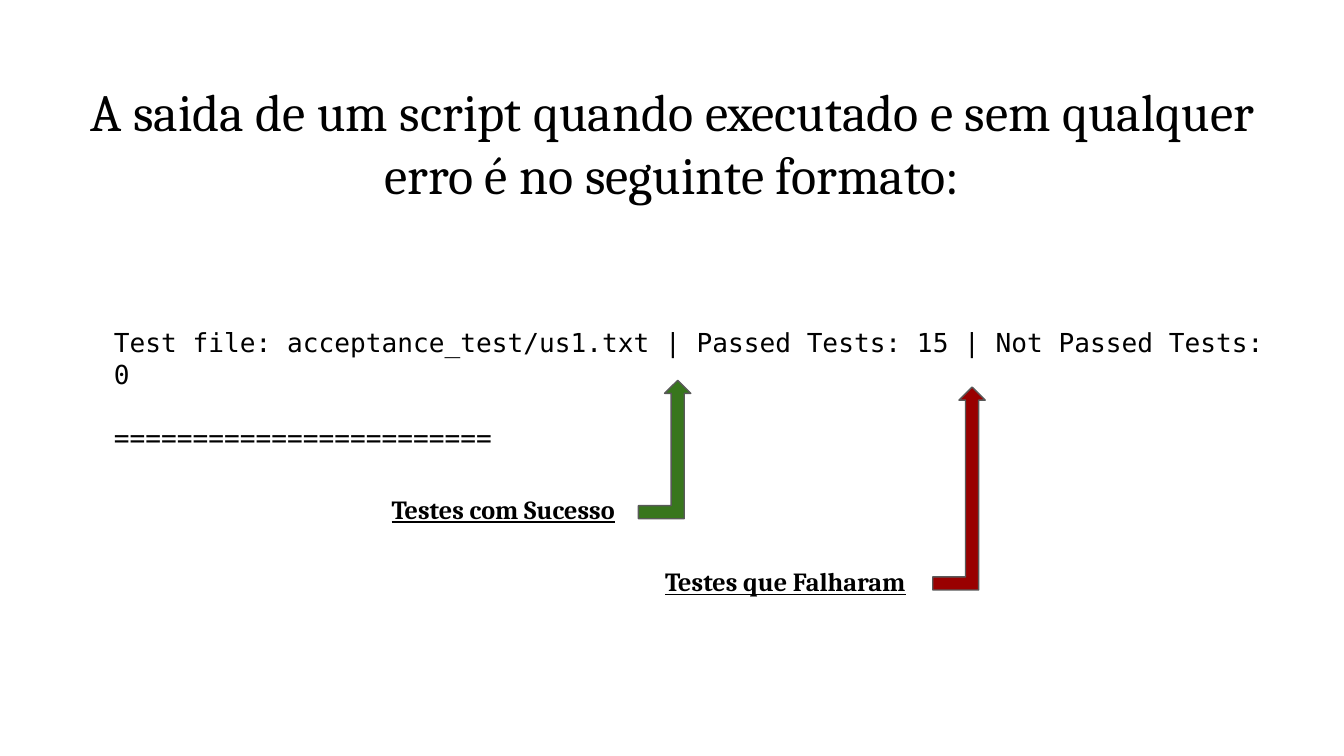
from pptx import Presentation
from pptx.dml.color import RGBColor
from pptx.enum.shapes import MSO_SHAPE
from pptx.enum.text import MSO_ANCHOR, MSO_AUTO_SIZE, PP_ALIGN
from pptx.util import Inches, Pt

BLACK = RGBColor(0x00, 0x00, 0x00)
GRAY = RGBColor(0x59, 0x59, 0x59)
GREEN = RGBColor(0x38, 0x76, 0x1D)
RED = RGBColor(0x99, 0x00, 0x00)


class PageBuilder:
    """Holds the text style and the current slide."""

    serif = "Cambria"
    mono = "DejaVu Sans Mono"
    inset = Inches(0.1)

    def __init__(self, page):
        self.page = page

    def fill_frame(self, frame, lines, font, size, align, emphasis=False, gap=0):
        frame.word_wrap = True
        frame.auto_size = MSO_AUTO_SIZE.NONE
        frame.vertical_anchor = MSO_ANCHOR.TOP
        frame.margin_left = frame.margin_right = self.inset
        frame.margin_top = frame.margin_bottom = self.inset
        for index, line in enumerate(lines):
            para = frame.add_paragraph() if index else frame.paragraphs[0]
            para.alignment = align
            para.space_before = Pt(gap if index else 0)
            span = para.add_run()
            span.text = line
            span.font.name = font
            span.font.size = Pt(size)
            span.font.color.rgb = BLACK
            if emphasis:
                span.font.bold = True
                span.font.underline = True

    def title(self, text, left, top, width, height):
        box = self.page.shapes.title
        box.left, box.top = Inches(left), Inches(top)
        box.width, box.height = Inches(width), Inches(height)
        self.fill_frame(box.text_frame, [text], self.serif, 28, PP_ALIGN.CENTER)

    def add_box(self, left, top, width, height):
        return self.page.shapes.add_textbox(
            Inches(left), Inches(top), Inches(width), Inches(height))

    def label(self, text, left, top, width):
        box = self.add_box(left, top, width, 0.36)
        self.fill_frame(box.text_frame, [text], self.serif, 14,
                        PP_ALIGN.CENTER, emphasis=True)

    def console(self, lines, left, top, width, height):
        box = self.add_box(left, top, width, height)
        self.fill_frame(box.text_frame, lines, self.mono, 14,
                        PP_ALIGN.LEFT, gap=17)

    def arrow(self, color, left, top, height):
        arrow = self.page.shapes.add_shape(
            MSO_SHAPE.BENT_UP_ARROW,
            Inches(left), Inches(top), Inches(0.39), Inches(height))
        arrow.shadow.inherit = False
        arrow.fill.solid()
        arrow.fill.fore_color.rgb = color
        arrow.line.color.rgb = GRAY
        arrow.line.width = Pt(0.75)


def main():
    # Widescreen page, 16:9
    deck = Presentation()
    deck.slide_width = Inches(10)
    deck.slide_height = deck.slide_width * 9 // 16
    builder = PageBuilder(deck.slides.add_slide(deck.slide_layouts[5]))

    # Title
    builder.title("A saida de um script quando executado e sem qualquer "
                  "erro é no seguinte formato:", 0.34, 0.49, 9.32, 0.63)

    # Labels with arrows to the counts
    builder.label("Testes com Sucesso", 2.74, 3.57, 2.01)
    builder.arrow(GREEN, 4.75, 2.83, 1.03)
    builder.label("Testes que Falharam", 4.7, 4.11, 2.29)
    builder.arrow(RED, 6.94, 2.88, 1.51)

    # Script output
    builder.console(
        ["Test file: acceptance_test/us1.txt | Passed Tests: 15 | "
         "Not Passed Tests: 0",
         "========================"], 0.75, 2.33, 8.87, 0.96)

    deck.save("out.pptx")


if __name__ == "__main__":
    main()
